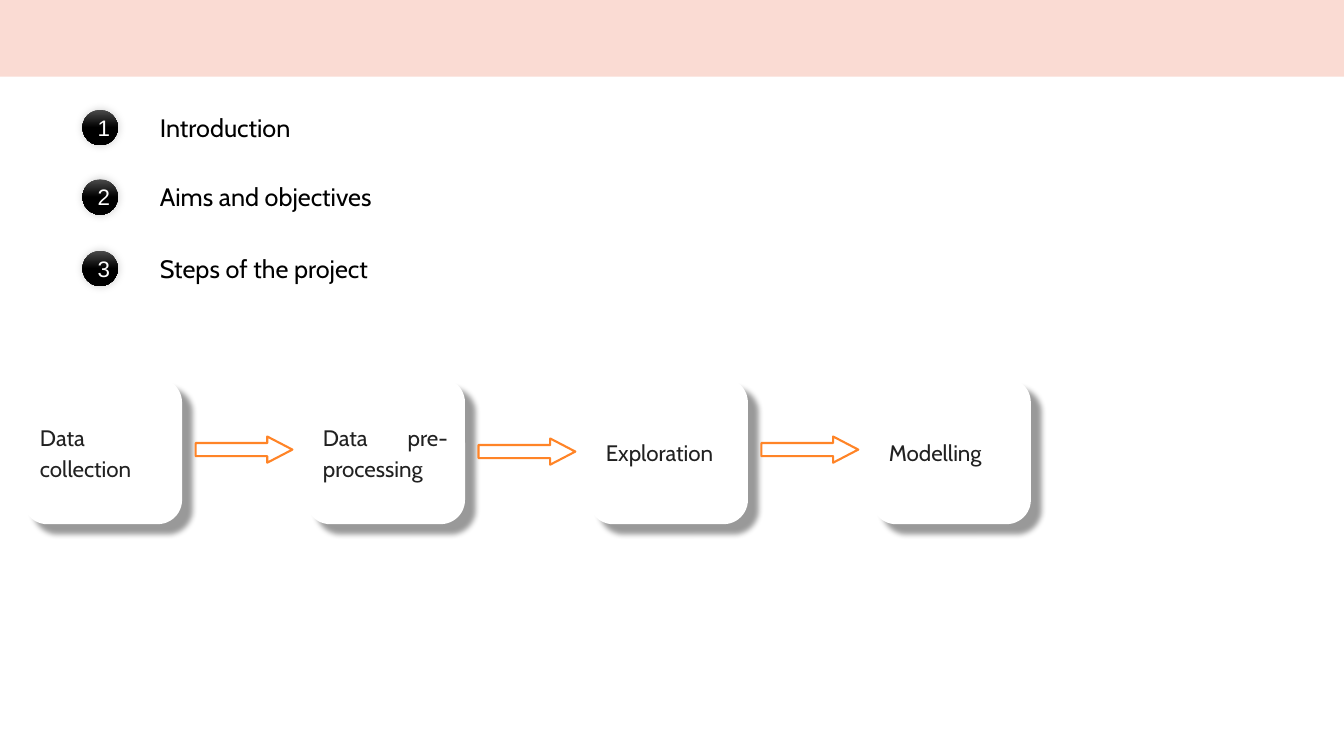
"""Build an outline slide with three numbered topics and a four-step project flow."""
import pptx
import pptx.dml.color
import pptx.enum.shapes
import pptx.enum.text
import pptx.util
from dataclasses import dataclass
from lxml import etree
from pptx.util import Cm

TOPICS = [("Introduction", 2.77, 4.17), ("Aims and objectives", 4.52, 6.32), ("Steps of the project", 6.32, 6.3)]
STEPS = ["Data collection", "Data pre-processing", "Exploration", "Modelling"]
ARROW_TOPS = [11.0, 11.05, 11.0]

BADGE_LEFT, BADGE_SIZE = 2.08, 0.89
TOPIC_LEFT, TOPIC_HEIGHT = 3.78, 1.02
STEP_LEFT, STEP_TOP, STEP_WIDTH, STEP_HEIGHT, STEP_PITCH = 0.58, 9.53, 4.01, 3.68, 7.13
ARROW_LEFT, ARROW_WIDTH, ARROW_HEIGHT = 4.93, 2.44, 0.66


@dataclass(frozen=True)
class Theme:
    banner: str = "FADBD3"
    paper: str = "FFFFFF"
    badge_top: str = "4B4B4B"
    black: str = "000000"
    step_text: str = "212121"
    arrow: str = "FF8427"
    font: str = "Cabin"
    badge_font: str = "Arial"
    topic_size: int = 18
    small_size: int = 16


THEME = Theme()
SHAPES = pptx.enum.shapes.MSO_SHAPE
ALIGN = pptx.enum.text.PP_ALIGN
MIDDLE = pptx.enum.text.MSO_ANCHOR.MIDDLE


def rgb(value):
    return pptx.dml.color.RGBColor.from_string(value)


def add_shape(slide, kind, left, top, width, height, fill=THEME.paper):
    shape = slide.shapes.add_shape(kind, Cm(left), Cm(top), Cm(width), Cm(height))
    shape.shadow.inherit = False
    shape.fill.solid()
    shape.fill.fore_color.rgb = rgb(fill)
    shape.line.fill.background()
    return shape


def add_shadow(shape, opacity, blur, distance, angle):
    effects = shape.element.spPr.find(pptx.oxml.ns.qn("a:effectLst"))
    shadow = etree.SubElement(
        effects, pptx.oxml.ns.qn("a:outerShdw"),
        blurRad=str(pptx.util.Pt(blur)), dist=str(pptx.util.Pt(distance)),
        dir=str(angle * 60000), algn="ctr", rotWithShape="0")
    color = etree.SubElement(shadow, pptx.oxml.ns.qn("a:srgbClr"), val=THEME.black)
    etree.SubElement(color, pptx.oxml.ns.qn("a:alpha"), val=str(opacity * 1000))


def write(shape, text, font, size, color, align):
    paragraph = shape.text_frame.paragraphs[0]
    paragraph.alignment = align
    run = paragraph.add_run()
    run.text = text
    run.font.name = font
    run.font.size = pptx.util.Pt(size)
    run.font.color.rgb = rgb(color)
    return paragraph


def add_topic(slide, number, text, top, width):
    badge = add_shape(slide, SHAPES.OVAL, BADGE_LEFT, top, BADGE_SIZE, BADGE_SIZE)
    badge.fill.gradient()
    badge.fill.gradient_angle = 270
    stops = zip(badge.fill.gradient_stops, (0, 0.5), (THEME.badge_top, THEME.black))
    for stop, position, color in stops:
        stop.position = position
        stop.color.rgb = rgb(color)
    add_shadow(badge, 20, 6, 0, 225)
    badge.text_frame.vertical_anchor = MIDDLE
    write(badge, str(number), THEME.badge_font, THEME.small_size, THEME.paper, ALIGN.CENTER)

    label_top = top + (BADGE_SIZE - TOPIC_HEIGHT) / 2
    label = slide.shapes.add_textbox(Cm(TOPIC_LEFT), Cm(label_top), Cm(width), Cm(TOPIC_HEIGHT))
    label.text_frame.word_wrap = False
    label.text_frame.auto_size = pptx.enum.text.MSO_AUTO_SIZE.SHAPE_TO_FIT_TEXT
    write(label, text, THEME.font, THEME.topic_size, THEME.black, ALIGN.LEFT)


def add_step(slide, index, text):
    step = add_shape(slide, SHAPES.ROUNDED_RECTANGLE, STEP_LEFT + index * STEP_PITCH,
                     STEP_TOP, STEP_WIDTH, STEP_HEIGHT)
    add_shadow(step, 40, 4, 10, 45)
    step.text_frame.vertical_anchor = MIDDLE
    paragraph = write(step, text, THEME.font, THEME.small_size, THEME.step_text, ALIGN.JUSTIFY)
    paragraph.line_spacing = 1.14


def add_arrow(slide, index, top):
    arrow = add_shape(slide, SHAPES.RIGHT_ARROW, ARROW_LEFT + index * STEP_PITCH,
                      top, ARROW_WIDTH, ARROW_HEIGHT)
    arrow.adjustments[0] = 0.5
    arrow.adjustments[1] = 0.96
    arrow.line.color.rgb = rgb(THEME.arrow)
    arrow.line.width = pptx.util.Pt(1.5)


def main():
    presentation = pptx.Presentation()
    presentation.slide_width = Cm(33.87)
    presentation.slide_height = Cm(19.05)
    slide = presentation.slides.add_slide(presentation.slide_layouts[6])
    add_shape(slide, SHAPES.RECTANGLE, 0, 0, 33.87, 1.93, THEME.banner)
    for number, (text, top, width) in enumerate(TOPICS, start=1):
        add_topic(slide, number, text, top, width)
    for index, text in enumerate(STEPS):
        add_step(slide, index, text)
    for index, top in enumerate(ARROW_TOPS):
        add_arrow(slide, index, top)
    presentation.save("out.pptx")


if __name__ == "__main__":
    main()
